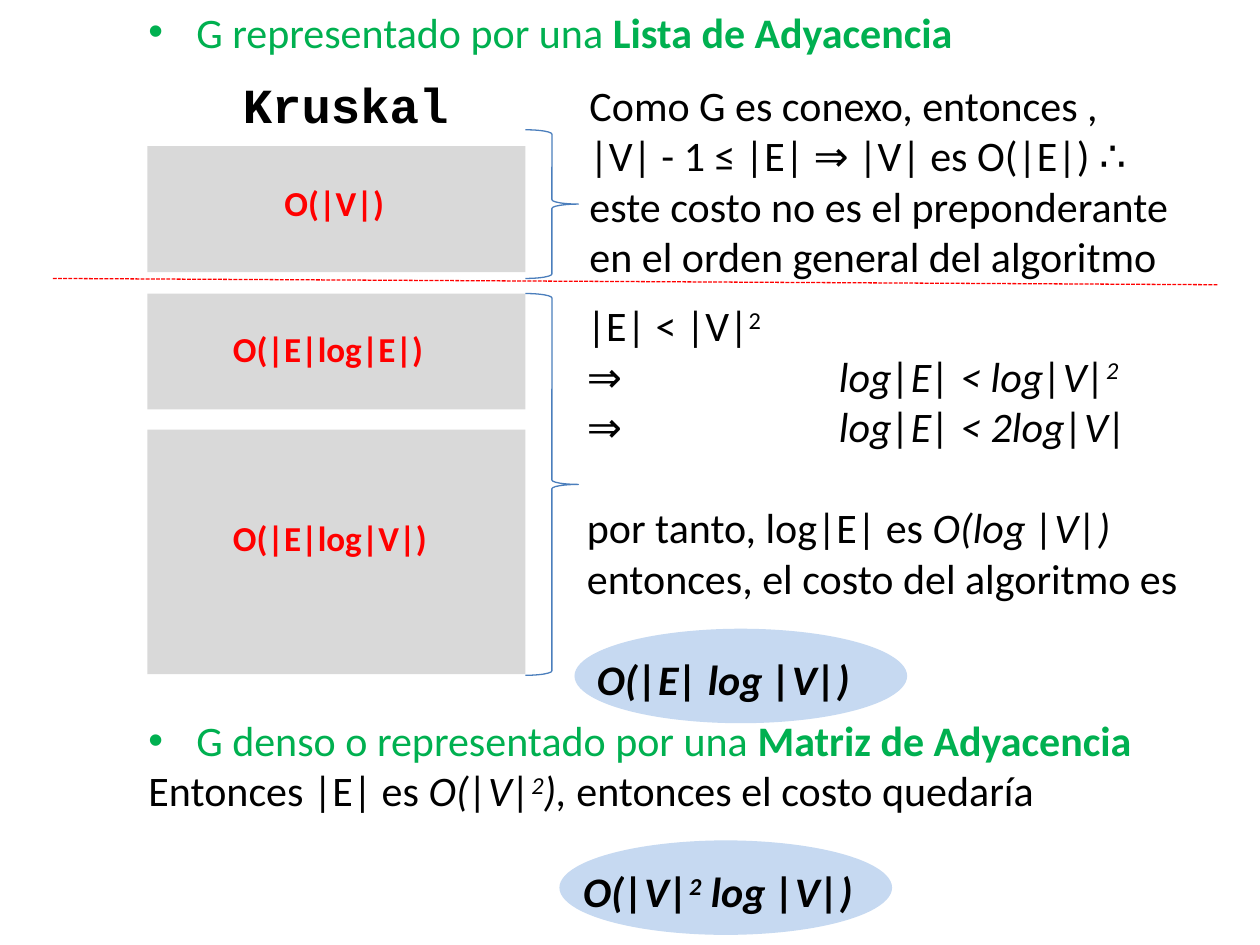
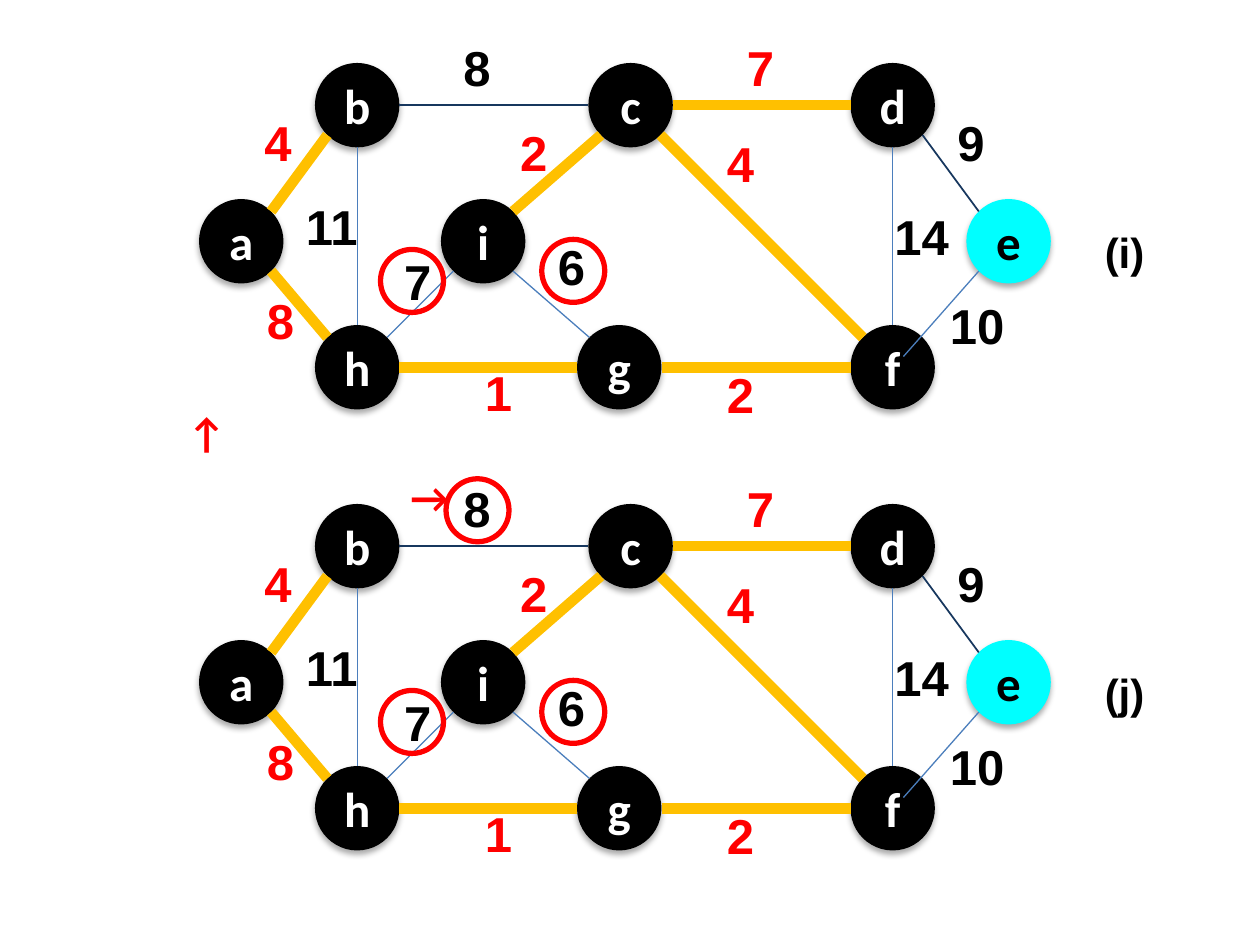
from math import cos, pi, sin

from pptx import Presentation
from pptx.dml.color import RGBColor
from pptx.enum.dml import MSO_LINE
from pptx.enum.shapes import MSO_CONNECTOR, MSO_SHAPE
from pptx.enum.text import MSO_ANCHOR, MSO_AUTO_SIZE, PP_ALIGN
from pptx.oxml.ns import qn
from pptx.util import Inches, Pt
from lxml.etree import SubElement

HUES = {
    "black": "000000", "white": "FFFFFF", "red": "FF0000", "green": "00B050",
    "gray": "D9D9D9", "pale": "C6D9F1", "blue": "4B7EBC", "navy": "17375E",
    "gold": "FFC000", "cyan": "00FFFF",
}
SIZE = 0.67
HALF = SIZE / 2
STEP = 3.5
LINE = 29
NODES = {
    "b": (2.5, 0.5), "c": (4.67, 0.5), "d": (6.75, 0.5),
    "a": (1.58, 1.58), "i": (3.5, 1.58), "e": (7.67, 1.58),
    "h": (2.5, 2.58), "g": (4.58, 2.58), "f": (6.75, 2.58),
}
TOP, LEFT, LOW_LEFT, BASE, LOW_RIGHT, RIGHT, UP_RIGHT = 0, 2, 3, 4, 5, 6, 7
UP_LEFT = 1
KINDS = {"tree": ("gold", 6), "dark": ("navy", 1), "thin": ("blue", 0.75)}
EDGES = [
    ("b", RIGHT, "c", LEFT, "dark"), ("c", RIGHT, "d", LEFT, "tree"),
    ("g", RIGHT, "f", LEFT, "tree"), ("h", RIGHT, "g", LEFT, "tree"),
    ("d", BASE, "f", TOP, "thin"), ("b", BASE, "h", TOP, "thin"),
    ("b", LOW_LEFT, "a", UP_RIGHT, "tree"),
    ("d", LOW_RIGHT, "e", UP_LEFT, "dark"),
    ("a", LOW_RIGHT, "h", UP_LEFT, "tree"),
    ("c", LOW_LEFT, "i", UP_RIGHT, "tree"),
    ("i", LOW_LEFT, "h", UP_RIGHT, "thin"),
    ("i", LOW_RIGHT, "g", UP_LEFT, "thin"),
    ("c", LOW_RIGHT, "f", UP_LEFT, "tree"),
]
COSTS = [
    ("4", 2, 0.84, "red"), ("8", 3.58, 0.25, "black"),
    ("7", 5.83, 0.25, "red"), ("9", 7.5, 0.84, "black"),
    ("11", 2.33, 1.51, "black"), ("8", 2.02, 2.26, "red"),
    ("7", 3.11, 1.95, "black"), ("6", 4.33, 1.83, "black"),
    ("1", 3.75, 2.83, "red"), ("2", 4.03, 0.92, "red"),
    ("2", 5.67, 2.84, "red"), ("4", 5.67, 1.01, "red"),
    ("14", 7, 1.59, "black"), ("10", 7.44, 2.3, "black"),
]


def hue(name):
    """Return the colour with this name."""
    return RGBColor.from_string(HUES[name])


def style(run, size, face, tint, marks=""):
    """Format a run; marks are b bold, i italic, s superscript."""
    font = run.font
    font.size, font.name = Pt(size), face
    font.bold, font.italic = "b" in marks, "i" in marks
    font.color.rgb = hue(tint)
    if "s" in marks:
        run._r.get_or_add_rPr().set("baseline", "30000")


def add_box(shapes, at):
    """Add an empty text box that wraps and grows."""
    box = shapes.add_textbox(*map(Inches, at))
    frame = box.text_frame
    frame.word_wrap = True
    frame.auto_size = MSO_AUTO_SIZE.SHAPE_TO_FIT_TEXT
    return box


def add_label(shapes, text, at, size, face, tint, turn=0):
    """Add one bold line of text."""
    box = add_box(shapes, at)
    box.text_frame.text = text
    style(box.text_frame.paragraphs[0].runs[0], size, face, tint, "b")
    box.rotation = turn


def add_prose(shapes, at, paras):
    """Add a box of paragraphs, each a dict of parts and layout."""
    frame = add_box(shapes, at).text_frame
    for num, para in enumerate(paras):
        item = frame.add_paragraph() if num else frame.paragraphs[0]
        props = item._p.get_or_add_pPr()
        if "gap" in para:
            item.space_before = Pt(para["gap"])
        if "left" in para:
            props.set("marL", str(Inches(para["left"])))
        if "dot" in para:
            props.set("indent", str(-Inches(para["left"])))
            SubElement(props, qn("a:buFont"), typeface="Arial")
            SubElement(props, qn("a:buChar"), char=para["dot"])
        if "tab" in para:
            tabs = SubElement(props, qn("a:tabLst"))
            SubElement(tabs, qn("a:tab"), pos=str(Inches(para["tab"])), algn="l")
        for text, marks in para["parts"]:
            run = item.add_run()
            run.text = text
            style(run, 24, "Calibri", para.get("tint", "black"), marks)


def bullet(lead, bold):
    """Describe a green heading with a bullet."""
    return {"parts": [(lead, ""), (bold, "b")], "tint": "green",
            "left": 0.38, "dot": "•"}


def add_form(shapes, kind, at, fill=None, line=None, width=1):
    """Add a preset shape with a flat fill or an outline."""
    form = shapes.add_shape(kind, *map(Inches, at))
    form.shadow.inherit = False
    if fill:
        form.fill.solid()
        form.fill.fore_color.rgb = hue(fill)
    else:
        form.fill.background()
    if line:
        form.line.color.rgb = hue(line)
        form.line.width = Pt(width)
    else:
        form.line.fill.background()
    return form


def add_line(shapes, start, end, tint, width):
    """Add a straight line without shadow."""
    line = shapes.add_connector(
        MSO_CONNECTOR.STRAIGHT, *map(Inches, (*start, *end)))
    line.line.color.rgb = hue(tint)
    line.line.width = Pt(width)
    SubElement(line._element.spPr, qn("a:effectLst"))
    return line


def add_node(shapes, name, drop):
    """Add a graph node with its letter and soft shadow."""
    fill, ink = ("cyan", "black") if name == "e" else ("black", "white")
    left, top = NODES[name]
    node = add_form(shapes, MSO_SHAPE.OVAL, (left, top + drop, SIZE, SIZE), fill)
    shade = SubElement(
        node._element.spPr.find(qn("a:effectLst")), qn("a:outerShdw"),
        blurRad=str(Pt(3.5)), dist=str(Pt(2.2)), dir="5400000", rotWithShape="0")
    tone = SubElement(shade, qn("a:srgbClr"), val=HUES["black"])
    SubElement(tone, qn("a:alpha"), val="32000")
    frame = node.text_frame
    frame.text = name
    frame.vertical_anchor = MSO_ANCHOR.MIDDLE
    para = frame.paragraphs[0]
    para.alignment = PP_ALIGN.CENTER
    style(para.runs[0], 28, "Calibri", ink, "b")


def spot(name, site, drop, reach=HALF):
    """Find the point at one of eight sites around a node."""
    left, top = NODES[name]
    turn = site * pi / 4
    return (left + HALF - reach * sin(turn),
            top + HALF + drop - reach * cos(turn))


def add_graph(slide, tag, drop, rings):
    """Draw the weighted graph with its tag and rejected edges."""
    shapes = slide.shapes.add_group_shape().shapes
    for name in NODES:
        add_node(shapes, name, drop)
    for one, out, two, into, kind in EDGES:
        add_line(shapes, spot(one, out, drop), spot(two, into, drop), *KINDS[kind])
    add_line(shapes, spot("e", LOW_LEFT, drop),
             spot("f", UP_RIGHT, drop, 0.12), *KINDS["thin"])
    for text, left, top, tint in COSTS:
        add_label(shapes, text, (left, top + drop, SIZE, 0.57), 28, "Arial", tint)
    add_label(slide.shapes, tag, (8.67, 1.75 + drop, 0.83, 0.5), 24, "Arial", "black")
    for left, top in rings:
        add_form(slide.shapes, MSO_SHAPE.OVAL, (left, top + drop, 0.5, 0.5),
                 line="red", width=3)


def add_costs(slide):
    """Build the slide on the cost of the algorithm."""
    shapes = slide.shapes
    for left, top in ((4.44, 6.67), (4.56, 4.99)):
        add_form(shapes, MSO_SHAPE.OVAL, (left, top, 2.64, 0.75), "pale")
    for top, high in ((1.16, 1), (2.33, 0.92), (3.41, 1.94)):
        add_form(shapes, MSO_SHAPE.RECTANGLE, (1.17, top, 3, high), "gray")
    for text, left, top in (("O(|V|)", 2.16, 1.39), ("O(|E|log|E|)", 1.75, 2.55),
                            ("O(|E|log|V|)", 1.75, 4.05)):
        add_label(shapes, text, (left, top, 1.83, 0.44), 20, "Calibri", "red")
    add_label(shapes, "Kruskal", (1.83, 0.54, 1.83, 0.88), 28, "Courier New", "black")
    for top, high in ((1.03, 1.18), (2.33, 3.03)):
        add_form(shapes, MSO_SHAPE.RIGHT_BRACE, (4.17, top, 0.42, high),
                 line="blue", width=0.75)
    add_prose(shapes, (4.58, 0.58, 5.08, 1.72), [
        {"parts": [("Como G es conexo, entonces ,", "")]},
        {"parts": [("|V| - 1 ≤ |E| ⇒ |V| es O(|E|) ∴ este costo no es el "
                    "preponderante en el orden general del algoritmo", "")]},
    ])
    add_prose(shapes, (4.56, 2.33, 5.27, 3.33), [
        {"parts": [("|E| < |V|", ""), ("2", "s")]},
        {"parts": [("⇒\t", ""), ("log|E| < log|V|", "i"), ("2", "is")], "tab": 2},
        {"parts": [("⇒\t", ""), ("log|E| < 2log|V|", "i")], "tab": 2},
        {"parts": [("por tanto, log|E| es ", ""), ("O(log |V|) ", "i"),
                   ("entonces, el costo del algoritmo es", "")], "gap": LINE},
        {"parts": [("O(|E| log |V|)", "bi")], "gap": LINE, "left": 0.08},
    ])
    add_prose(shapes, (1.08, 0, 7.42, 0.91), [
        bullet("G representado por una ", "Lista de Adyacencia")])
    add_prose(shapes, (1.08, 5.62, 8.75, 2.12), [
        bullet("G denso o representado por una ", "Matriz de Adyacencia"),
        {"parts": [("Entonces |E| es ", ""), ("O(|V|", "i"), ("2", "is"),
                   ("), ", "i"), ("entonces el costo quedaría", "")]},
        {"parts": [("O(|V|", "bi"), ("2", "bis"), (" log |V|)", "bi")],
         "gap": LINE, "left": 3.45},
    ])
    split = add_line(shapes, (0.42, 2.21), (9.67, 2.26), "red", 0.75)
    split.line.dash_style = MSO_LINE.SQUARE_DOT


def add_steps(slide):
    """Build the slide with two steps on the graph."""
    rings = [(4.3, 1.9), (3.02, 1.98)]
    add_graph(slide, "(i)", 0, rings)
    add_graph(slide, "(j)", STEP, rings + [(3.54, 0.3)])
    for left, top, turn in ((1.38, 3.25, 90), (3.08, 3.75, 180)):
        add_label(slide.shapes, "←", (left, top, 0.58, 0.5), 24, "Calibri", "red", turn)


def main():
    """Build and save the deck."""
    deck = Presentation()
    deck.slide_width, deck.slide_height = Inches(10), Inches(7.5)
    for build in (add_costs, add_steps):
        build(deck.slides.add_slide(deck.slide_layouts[6]))
    deck.save("out.pptx")


if __name__ == "__main__":
    main()
